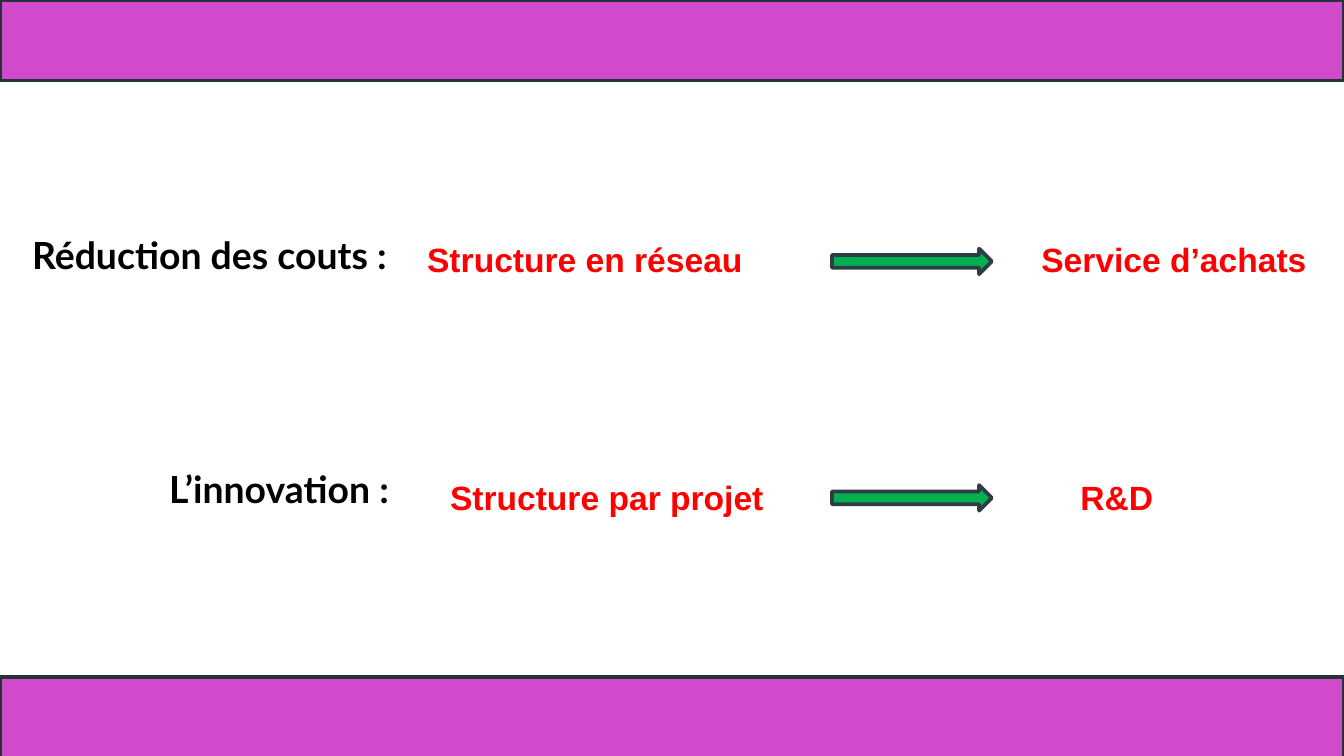
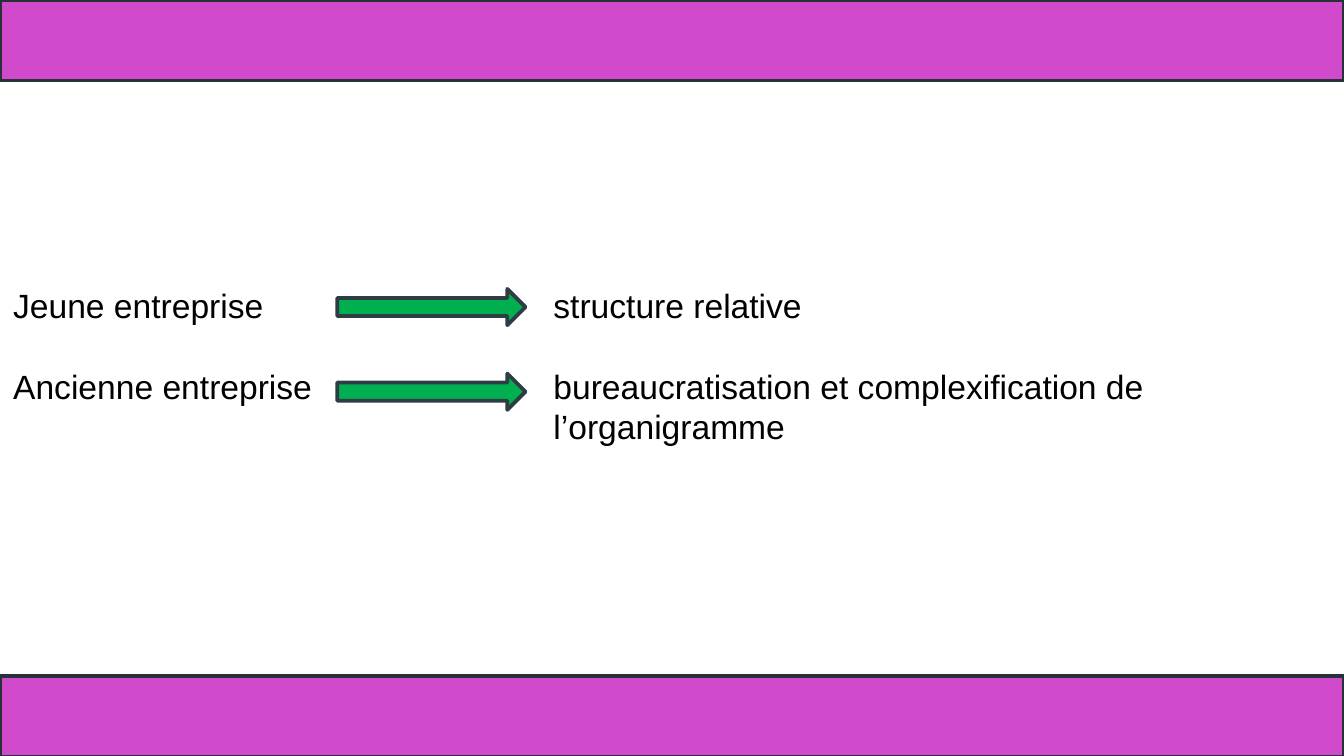
from lxml import etree
from pptx import Presentation
from pptx.dml.color import RGBColor
from pptx.enum import shapes, text
from pptx.oxml import ns
from pptx.util import Inches, Pt

COLORS = {
    "band": "D24ACC",
    "band_line": "263238",
    "arrow": "00B050",
    "arrow_line": "2E3D44",
    "answer": "FF0000",
    "body": "000000",
}


def add_outlined(slide, kind, box, color):
    shape = slide.shapes.add_shape(kind, *map(Inches, box))
    shape.shadow.inherit = False
    shape.fill.solid()
    shape.fill.fore_color.rgb = RGBColor.from_string(COLORS[color])
    shape.line.color.rgb = RGBColor.from_string(COLORS[color + "_line"])
    shape.line.width = Pt(2)


def add_text(slide, box, lines, font, size, color, bold=False, tab=None):
    frame = slide.shapes.add_textbox(*map(Inches, box)).text_frame
    frame.word_wrap = True
    frame.auto_size = text.MSO_AUTO_SIZE.NONE
    for index, line in enumerate(lines):
        paragraph = frame.add_paragraph() if index else frame.paragraphs[0]
        paragraph.text = line
        if tab:
            properties = paragraph._p.get_or_add_pPr()
            tabs = etree.SubElement(properties, ns.qn("a:tabLst"))
            etree.SubElement(tabs, ns.qn("a:tab"), pos=str(Inches(tab)), algn="l")
            paragraph.line_spacing = Pt(21.6)
        paragraph.font.name = font
        paragraph.font.size = Pt(size)
        paragraph.font.bold = bold
        paragraph.font.color.rgb = RGBColor.from_string(COLORS[color])
    return frame


presentation = Presentation()
presentation.slide_width = Inches(10)
presentation.slide_height = presentation.slide_width * 9 // 16

slides = []
for bottom_band in (5.04, 5.03):
    slide = presentation.slides.add_slide(presentation.slide_layouts[6])
    for top in (0, bottom_band):
        add_outlined(slide, shapes.MSO_SHAPE.RECTANGLE, (0, top, 10, 0.6), "band")
    slides.append(slide)
goals_slide, age_slide = slides

goals = [
    ("Réduction des couts :", (0.14, 1.68, 4.07, 0.44),
     "Structure en réseau\tService d’achats", (3.08, 1.73, 7, 0.71), 4.57, 1.85),
    ("L’innovation :", (1.16, 3.42, 3.29, 0.44),
     "Structure par projet\tR&D", (3.25, 3.5, 6.65, 0.4), 4.69, 3.61),
]
for goal, goal_box, answer, answer_box, tab, arrow_top in goals:
    add_text(goals_slide, goal_box, [goal], "Lato", 20, "body", bold=True)
    add_text(goals_slide, answer_box, [answer], "Arial", 18, "answer", bold=True, tab=tab)
    add_outlined(goals_slide, shapes.MSO_SHAPE.RIGHT_ARROW,
                 (6.19, arrow_top, 1.19, 0.19), "arrow")

age_lines = [
    "Jeune entreprise\tstructure relative",
    "Ancienne entreprise\tbureaucratisation et complexification de",
    "\tl’organigramme",
]
age_frame = add_text(age_slide, (0, 2.07, 12.37, 1.31), age_lines, "Arial", 18, "body", tab=4.02)
age_frame.paragraphs[1].space_before = Pt(21.6)
for arrow_top in (2.15, 2.78):
    add_outlined(age_slide, shapes.MSO_SHAPE.RIGHT_ARROW, (2.51, arrow_top, 1.4, 0.27), "arrow")

presentation.save("out.pptx")
